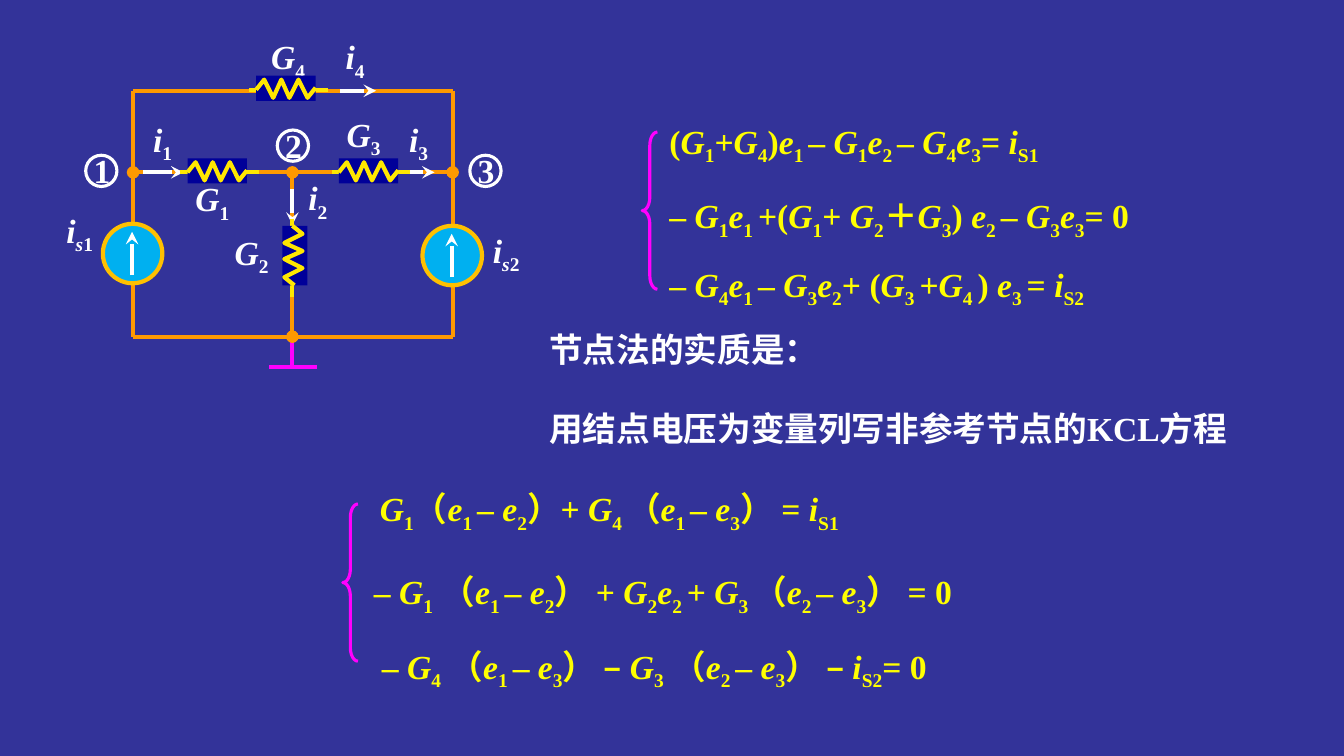
from itertools import groupby

from lxml.etree import SubElement
from pptx import Presentation
from pptx.dml.color import RGBColor
from pptx.enum.shapes import MSO_CONNECTOR, MSO_SHAPE
from pptx.enum.text import MSO_ANCHOR
from pptx.oxml.ns import qn
from pptx.util import Inches, Pt

COLORS = {name: RGBColor.from_string(value) for name, value in {
    "background": "333399", "white": "FFFFFF", "yellow": "FFFF00",
    "wire": "FF9900", "magenta": "FF00FF", "resistor": "FFE701",
    "body": "000099", "source": "00B0F0", "ring": "FFC000",
}.items()}
SERIF = "Times New Roman"

presentation = Presentation()
presentation.slide_width = Inches(13.33)
presentation.slide_height = Inches(7.5)
slide = presentation.slides.add_slide(presentation.slide_layouts[6])
slide.background.fill.solid()
slide.background.fill.fore_color.rgb = COLORS["background"]


def add_text(text, left, top, width, height, color="white", font=SERIF,
             wrap=True, line_spacing=None, gap=0):
    """Add bold text; _x_ is a subscript, and the symbols G, e, i, s are italic."""
    frame = slide.shapes.add_textbox(
        Inches(left), Inches(top), Inches(width), Inches(height)).text_frame
    frame.word_wrap = wrap
    frame.vertical_anchor = MSO_ANCHOR.TOP
    for number, line in enumerate(text.split("\n")):
        paragraph = frame.add_paragraph() if number else frame.paragraphs[0]
        if number:
            paragraph.space_before = Pt(gap)
        if line_spacing:
            paragraph.line_spacing = line_spacing
        for index, part in enumerate(line.split("_")):
            groups = groupby(part, lambda char: (char in "Geis", char in "KCL"))
            for (is_symbol, is_acronym), characters in groups:
                run = paragraph.add_run()
                run.text = "".join(characters)
                run.font.name = SERIF if is_acronym else font
                run.font.size = Pt(24)
                run.font.bold = True
                run.font.italic = is_symbol
                run.font.color.rgb = COLORS[color]
                if index % 2:
                    run.font._element.set("baseline", "-25000")


def add_line(start, end, color, head=None, tail=None):
    line = slide.shapes.add_connector(
        MSO_CONNECTOR.STRAIGHT, *(Inches(value) for value in (*start, *end)))
    line.line.color.rgb = COLORS[color]
    line.line.width = Pt(3)
    outline = line.line._get_or_add_ln()
    for tag, kind in (("a:headEnd", head), ("a:tailEnd", tail)):
        if kind:
            SubElement(outline, qn(tag), type=kind)
    SubElement(line._element.spPr, qn("a:effectLst"))


# Ground and wires
left, middle, right = 1.32, 2.9, 4.49
top, centre, bottom = 0.9, 1.71, 3.34
add_line((middle, bottom), (middle, 3.64), "magenta")
add_line((2.67, 3.64), (3.14, 3.64), "magenta")
for start, end, dot in (
    ((left, top), (left, bottom), None),
    ((left, top), (right, top), None),
    ((right, top), (right, bottom), None),
    ((middle, centre), (middle, bottom), "oval"),
    ((left, bottom), (right, bottom), None),
    ((left, centre), (right, centre), "oval"),
):
    add_line(start, end, "wire", head=dot, tail=dot)

# Node rings, current sources and braces
nodes = [("1", 0.85, 1.54), ("2", 2.75, 1.29), ("3", 4.66, 1.54)]
sources = [(1.02, 2.22), (4.19, 2.24)]
braces = [(6.37, 1.31), (3.4, 5)]
outlined = [(MSO_SHAPE.OVAL, x, y, 0.31, 0.31, None, "white", 2.25)
            for _, x, y in nodes]
outlined += [(MSO_SHAPE.OVAL, x, y, 0.59, 0.59, "source", "ring", 3)
             for x, y in sources]
outlined += [(MSO_SHAPE.LEFT_BRACE, x, y, 0.15, 1.56, None, "magenta", 2.25)
             for x, y in braces]
for preset, x, y, width, height, fill, color, weight in outlined:
    shape = slide.shapes.add_shape(
        preset, Inches(x), Inches(y), Inches(width), Inches(height))
    shape.shadow.inherit = False
    if fill:
        shape.fill.solid()
        shape.fill.fore_color.rgb = COLORS[fill]
    else:
        shape.fill.background()
    shape.line.color.rgb = COLORS[color]
    shape.line.width = Pt(weight)
    if preset == MSO_SHAPE.LEFT_BRACE:
        shape.adjustments[0] = 0.88
        shape.adjustments[1] = 0.5

# Node numbers and component labels
for number, x, y in nodes:
    add_text(number, x - 0.02, y - 0.1, 0.34, 0.5)
for label, x, y, width in (
    ("i_s2_", 4.79, 2.23, 0.49), ("i_s1_", 0.56, 2.03, 0.49),
    ("G_1_", 1.84, 1.72, 0.57), ("G_2_", 2.23, 2.25, 0.57),
    ("G_3_", 3.34, 1.08, 0.57), ("G_4_", 2.59, 0.31, 0.57),
    ("i_4_", 3.33, 0.31, 0.4), ("i_3_", 3.96, 1.13, 0.4),
    ("i_1_", 1.42, 1.13, 0.4), ("i_2_", 2.96, 1.71, 0.4),
):
    add_text(label, x, y, width, 0.5, wrap=False)

# Current arrows
for start, end in (
    ((1.42, centre), (1.82, centre)),
    ((3.98, centre), (4.31, centre)),
    ((3.37, top), (3.73, top)),
    ((middle, 1.88), (middle, 2.23)),
    *(((x + 0.29, y + 0.51), (x + 0.29, y + 0.08)) for x, y in sources),
):
    add_line(start, end, "white", tail="stealth")

# Resistors: a lead, a body over it, and a zigzag along the body
zigzag = [(0.07, 0), (0.15, -0.1), (0.24, 0.08), (0.32, -0.1), (0.4, 0.08),
          (0.49, -0.1), (0.58, 0.08), (0.66, -0.02)]
for x, y, vertical in (
    (2.47, 0.89, False), (1.79, centre, False), (3.29, centre, False),
    (middle, 2.17, True),
):
    if vertical:
        add_line((x, y), (x, y + 0.78), "resistor")
        box = (x - 0.1, y + 0.07, 0.25, 0.59)
        points = [(x - across, y + along) for along, across in zigzag]
    else:
        add_line((x, y), (x + 0.78, y), "resistor")
        box = (x + 0.07, y - 0.14, 0.59, 0.25)
        points = [(x + along, y + across) for along, across in zigzag]
    body = slide.shapes.add_shape(
        MSO_SHAPE.RECTANGLE, *(Inches(value) for value in box))
    body.shadow.inherit = False
    body.fill.solid()
    body.fill.fore_color.rgb = COLORS["body"]
    body.line.fill.background()
    corners = [(Inches(px), Inches(py)) for px, py in points]
    builder = slide.shapes.build_freeform(*corners[0])
    builder.add_line_segments(corners[1:], close=False)
    zigzag_shape = builder.convert_to_shape()
    zigzag_shape.shadow.inherit = False
    zigzag_shape.fill.background()
    zigzag_shape.line.color.rgb = COLORS["resistor"]
    zigzag_shape.line.width = Pt(3)

# Equations and statement
for equation, x, y, width in (
    ("(G_1_+G_4_)e_1 _– G_1_e_2 _– G_4_e_3_= i_S1_", 6.54, 1.1, 5.89),
    ("– G_1_e_1 _+(G_1_+ G_2_＋G_3_) e_2 _– G_3_e_3_= 0", 6.54, 1.84, 5.85),
    ("– G_4_e_1 _– G_3_e_2_+ (G_3 _+G_4 _) e_3 _= i_S2_", 6.54, 2.52, 5.06),
    ("G_1_（e_1 _– e_2_）+ G_4 _（e_1 _– e_3_） = i_S1_", 3.67, 4.75, 5.89),
    ("– G_1_ （e_1 _– e_2_） + G_2_e_2 _+ G_3 _（e_2 _– e_3_） = 0",
     3.61, 5.57, 7.8),
    ("– G_4_ （e_1 _– e_3_） – G_3_ （e_2 _– e_3_） – i_S2_= 0",
     3.69, 6.31, 7.31),
):
    add_text(equation, x, y, width, 0.51, color="yellow", line_spacing=1.1)
add_text("节点法的实质是：\n用结点电压为变量列写非参考节点的KCL方程",
         5.35, 3.21, 7.71, 1.31, font="Arial", gap=28)

presentation.save("out.pptx")
